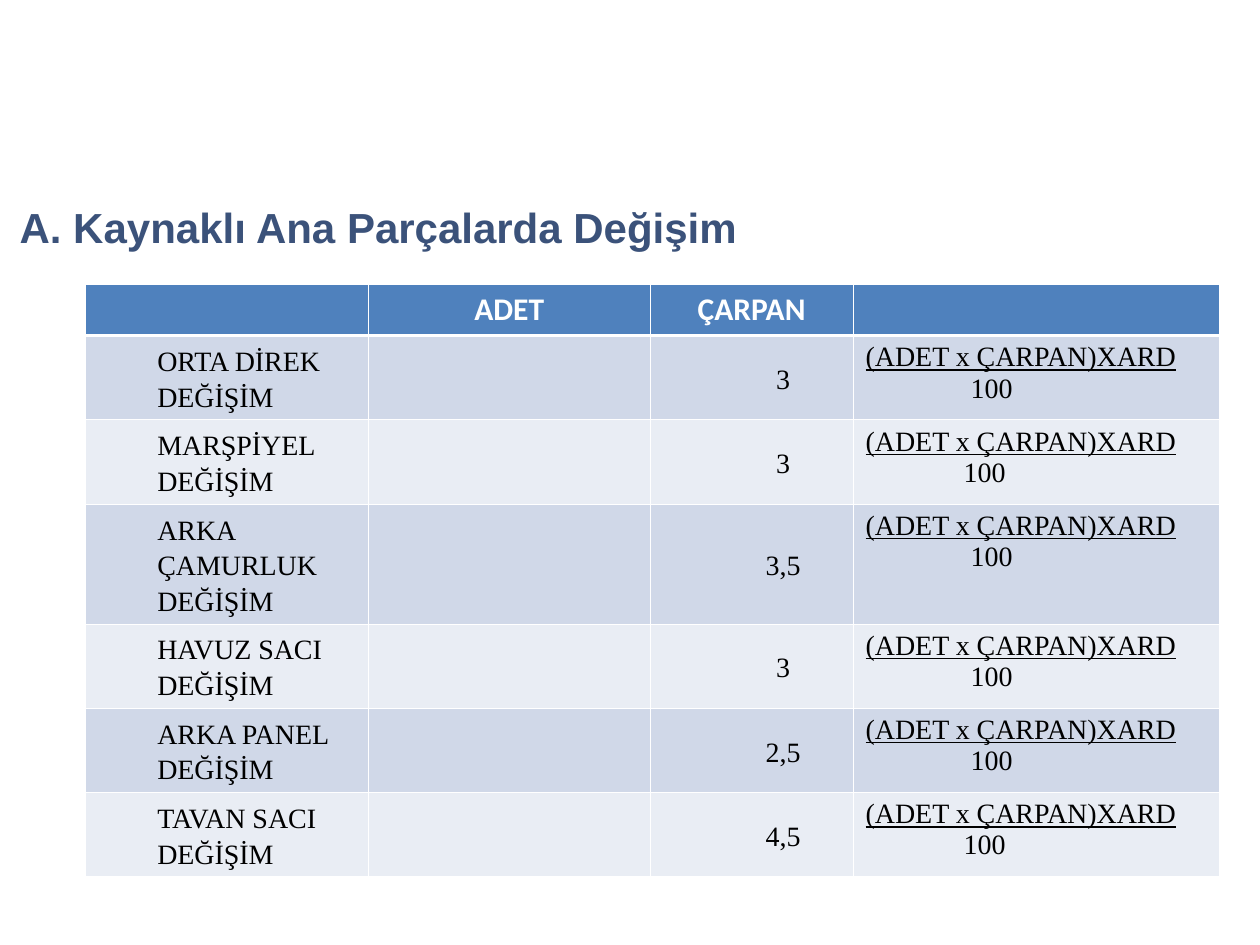
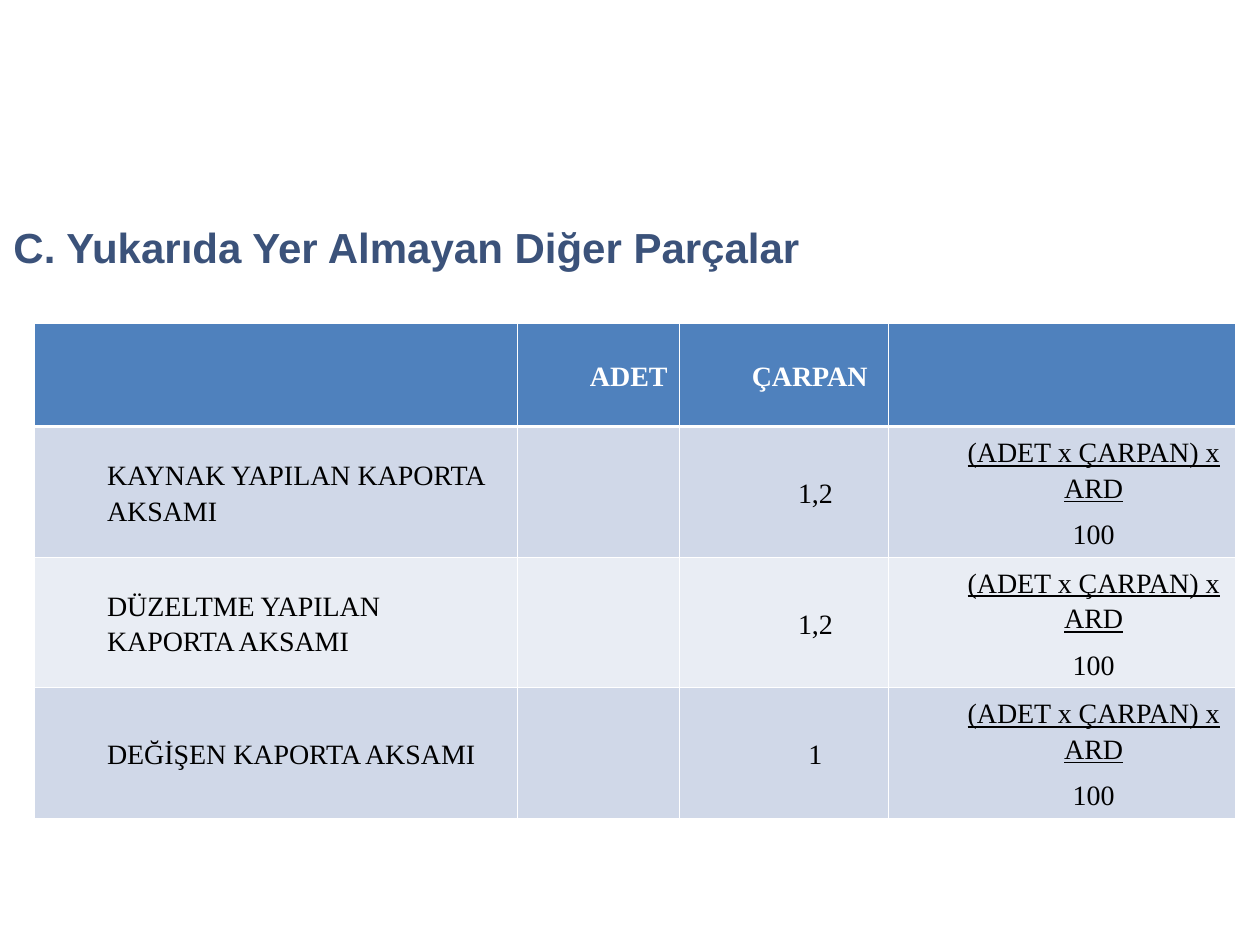
from lxml import etree
from pptx import Presentation
from pptx.dml.color import RGBColor
from pptx.enum.text import MSO_ANCHOR, MSO_AUTO_SIZE, PP_ALIGN
from pptx.oxml.ns import qn
from pptx.util import Pt

LEFT, CENTER, JUSTIFY = PP_ALIGN.LEFT, PP_ALIGN.CENTER, PP_ALIGN.JUSTIFY
TOP, MIDDLE = MSO_ANCHOR.TOP, MSO_ANCHOR.MIDDLE
NO_AUTOFIT = MSO_AUTO_SIZE.NONE

COLORS = {"title": "3B527A", "header": "4F81BD", "band": "D0D8E8",
          "light": "E9EDF4", "white": "FFFFFF", "black": "000000"}
SERIF = "Times New Roman"
THIN, THICK = 0.45, 1.47
INDENT = 36


def write_cell(cell, lines, align, anchor, indents, spaced, font_name=SERIF,
               size=16, color="black", bold=False):
    """Write one paragraph per line; the first of two lines is underlined."""
    cell.vertical_anchor = anchor
    cell.margin_left = cell.margin_right = Pt(5.4 if spaced else 7.2)
    cell.margin_top = cell.margin_bottom = Pt(3.6)
    for index, line in enumerate(lines):
        frame = cell.text_frame
        paragraph = frame.add_paragraph() if index else frame.paragraphs[0]
        paragraph.text = line
        paragraph.alignment = align
        if spaced:
            paragraph.line_spacing = 1.15
            paragraph.space_after = Pt(6)
        paragraph._p.get_or_add_pPr().set("marL", str(Pt(indents[index])))
        paragraph.font.name = font_name
        paragraph.font.size = Pt(size)
        paragraph.font.bold = bold
        paragraph.font.underline = len(lines) == 2 and index == 0
        paragraph.font.color.rgb = RGBColor.from_string(COLORS[color])


def style_cell(cell, row):
    """Fill a cell by its row and draw its white borders."""
    fill = "header" if row == 0 else "band" if row % 2 else "light"
    widths = {"lnL": THIN, "lnR": THIN, "lnT": THICK if row == 1 else THIN,
              "lnB": THICK if row == 0 else THIN}
    properties = cell._tc.get_or_add_tcPr()
    for side, width in widths.items():
        line = etree.SubElement(properties, qn(f"a:{side}"), w=str(Pt(width)))
        solid = etree.SubElement(line, qn("a:solidFill"))
        etree.SubElement(solid, qn("a:srgbClr"), val=COLORS["white"])
    cell.fill.solid()
    cell.fill.fore_color.rgb = RGBColor.from_string(COLORS[fill])


# What differs between the two slides
WELDED_PARTS = {
    "title": "A. Kaynaklı Ana Parçalarda Değişim",
    "title_box": (4, 111.6, 555, 36),
    "table_at": (48.5, 162.3),
    "columns": (162, 161, 116, 209.5),
    "heights": (29.5, 45.4, 45.4, 66.2, 45.4, 45.4, 45.4),
    "header": {"align": CENTER, "anchor": TOP, "indents": (0,), "spaced": False,
               "font_name": "Calibri", "size": 18},
    "formula": "(ADET x ÇARPAN)XARD",
    "formula_style": {"align": LEFT, "anchor": TOP, "spaced": False},
    # label, multiplier, indent of the denominator
    "rows": [("ORTA DİREK DEĞİŞİM", "3", 60),
             ("MARŞPİYEL DEĞİŞİM", "3", 56),
             ("ARKA ÇAMURLUK DEĞİŞİM", "3,5", 60),
             ("HAVUZ SACI DEĞİŞİM", "3", 60),
             ("ARKA PANEL DEĞİŞİM", "2,5", 60),
             ("TAVAN SACI DEĞİŞİM", "4,5", 56)],
    "numerator_indent": 0,
}
OTHER_PARTS = {
    "title": "C. Yukarıda Yer Almayan Diğer Parçalar",
    "title_box": (0.5, 118, 605, 46),
    "table_at": (19.75, 184.8),
    "columns": (276, 92.5, 119.5, 198.5),
    "heights": (59, 72, 72, 72),
    "header": {"align": JUSTIFY, "anchor": MIDDLE, "indents": (INDENT,),
               "spaced": True},
    "formula": "(ADET x ÇARPAN) x ARD",
    "formula_style": {"align": CENTER, "anchor": MIDDLE, "spaced": True},
    "rows": [("KAYNAK YAPILAN KAPORTA AKSAMI", "1,2", INDENT),
             ("DÜZELTME YAPILAN KAPORTA AKSAMI", "1,2", INDENT),
             ("DEĞİŞEN KAPORTA AKSAMI", "1", INDENT)],
    "numerator_indent": INDENT,
}

presentation = Presentation()
presentation.slide_width, presentation.slide_height = Pt(720), Pt(540)
title_only = presentation.slide_layouts[5]

for content in (WELDED_PARTS, OTHER_PARTS):
    slide = presentation.slides.add_slide(title_only)

    # Title
    title = slide.shapes.title
    title.left, title.top, title.width, title.height = map(Pt, content["title_box"])
    title.text_frame.auto_size = NO_AUTOFIT
    title.text_frame.vertical_anchor = MIDDLE
    title.text_frame.text = content["title"]
    paragraph = title.text_frame.paragraphs[0]
    paragraph.alignment = LEFT
    paragraph.font.name = "Arial"
    paragraph.font.size = Pt(24)
    paragraph.font.bold = True
    paragraph.font.color.rgb = RGBColor.from_string(COLORS["title"])

    # Table grid
    columns, heights = content["columns"], content["heights"]
    table = slide.shapes.add_table(
        len(heights), len(columns), *map(Pt, content["table_at"]),
        Pt(sum(columns)), Pt(sum(heights))).table
    for column, width in zip(table.columns, columns):
        column.width = Pt(width)
    for row_index, height in enumerate(heights):
        table.rows[row_index].height = Pt(height)
        for cell in table.rows[row_index].cells:
            style_cell(cell, row_index)

    # Header row
    for column_index, heading in ((1, "ADET"), (2, "ÇARPAN")):
        write_cell(table.cell(0, column_index), [heading], color="white",
                   bold=True, **content["header"])

    # Part, multiplier and formula
    for row_index, (label, multiplier, indent) in enumerate(content["rows"], 1):
        write_cell(table.cell(row_index, 0), [label], LEFT, MIDDLE, (INDENT,), True)
        write_cell(table.cell(row_index, 2), [multiplier], CENTER, MIDDLE,
                   (INDENT,), True)
        write_cell(table.cell(row_index, 3), [content["formula"], "100"],
                   indents=(content["numerator_indent"], indent),
                   **content["formula_style"])

presentation.save("out.pptx")
